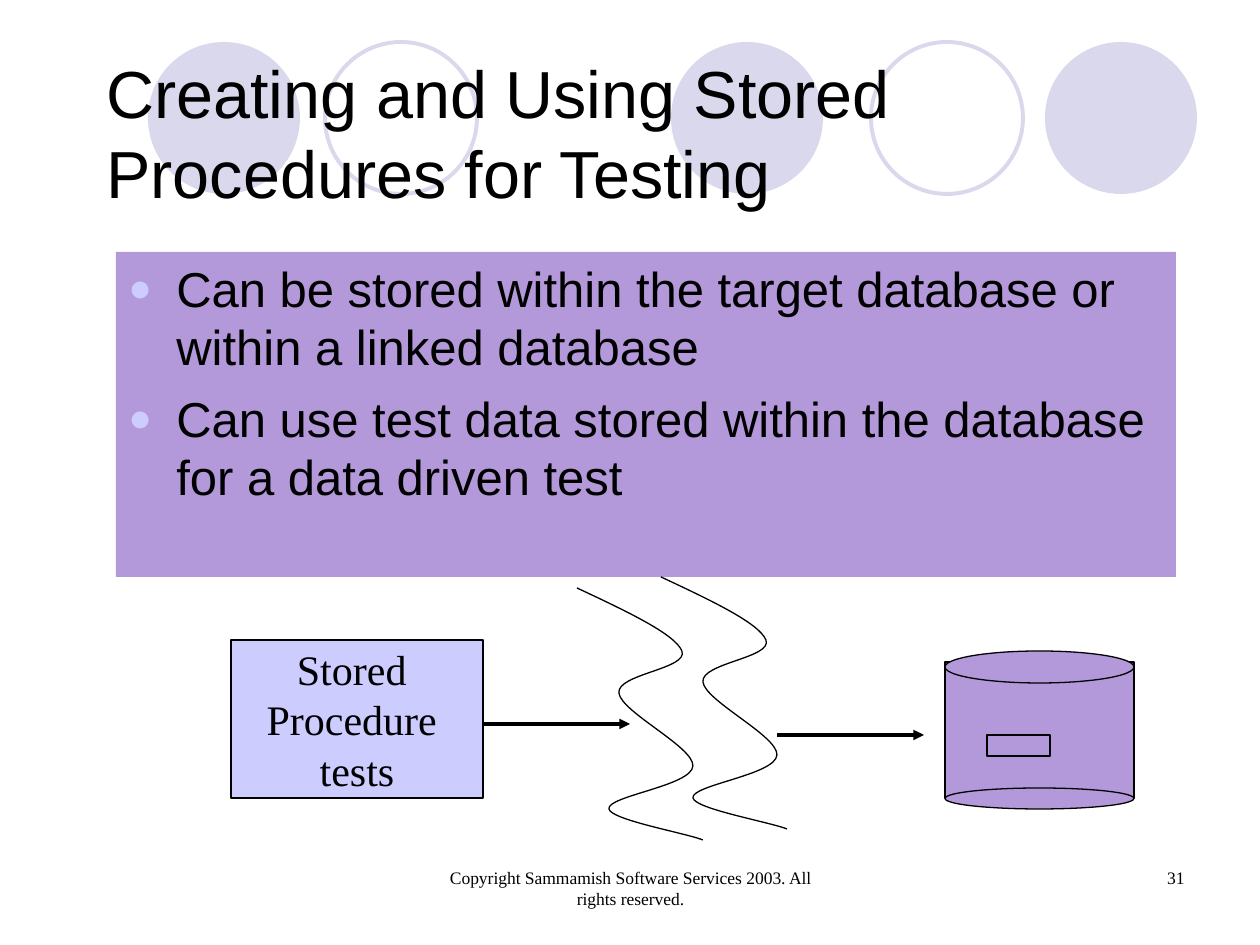
from dataclasses import dataclass
from typing import NamedTuple

from lxml import etree
from pptx import Presentation
from pptx.dml.color import RGBColor
from pptx.enum.shapes import MSO_CONNECTOR, MSO_SHAPE
from pptx.enum.text import MSO_ANCHOR, PP_ALIGN
from pptx.oxml.ns import qn
from pptx.util import Emu, Inches, Pt

PX_PER_INCH = 126
OVAL, RECTANGLE = MSO_SHAPE.OVAL, MSO_SHAPE.RECTANGLE
STRAIGHT = MSO_CONNECTOR.STRAIGHT
LEFT, CENTER, RIGHT = PP_ALIGN.LEFT, PP_ALIGN.CENTER, PP_ALIGN.RIGHT
TOP, MIDDLE = MSO_ANCHOR.TOP, MSO_ANCHOR.MIDDLE


@dataclass(frozen=True)
class Theme:
    ink: str = "000000"
    circle: str = "D9D8EC"
    purple: str = "B399D9"
    lavender: str = "CCCCFF"
    sans: str = "Arial"
    serif: str = "Times New Roman"
    title_size: int = 38
    body_size: int = 28
    label_size: int = 24
    footer_size: int = 10
    thin: float = 0.75
    arrow: float = 2
    ring: float = 2.25


THEME = Theme()


class Area(NamedTuple):
    left: int
    top: int
    width: int
    height: int


class Figure(NamedTuple):
    kind: int
    area: Area
    fill: str | None = None
    line: str | None = THEME.ink
    weight: float = THEME.thin


class Arrow(NamedTuple):
    start: int
    end: int
    level: int


CIRCLE_SIZE, CIRCLE_TOP = 152, 42
DISC_LEFTS = (148, 671, 1045)
RING_LEFTS = (325, 871)
CIRCLES = [
    Figure(OVAL, Area(left, CIRCLE_TOP, CIRCLE_SIZE, CIRCLE_SIZE), THEME.circle, None)
    for left in DISC_LEFTS
] + [
    Figure(OVAL, Area(left, CIRCLE_TOP, CIRCLE_SIZE, CIRCLE_SIZE), None, THEME.circle, THEME.ring)
    for left in RING_LEFTS
]
BODY = Figure(RECTANGLE, Area(116, 252, 1060, 325), THEME.purple, None)
TESTS = Figure(RECTANGLE, Area(231, 640, 252, 158), THEME.lavender)
DATABASE = [
    Figure(RECTANGLE, Area(945, 662, 189, 136), THEME.purple),
    Figure(OVAL, Area(945, 788, 189, 21), THEME.purple),
    Figure(OVAL, Area(945, 651, 189, 32), THEME.purple),
    Figure(RECTANGLE, Area(987, 735, 63, 21), THEME.purple),
]
ARROWS = [Arrow(483, 630, 724), Arrow(777, 924, 735)]
WAVE_STARTS = [(577, 588), (661, 577)]
WAVE_POINTS = [
    (49, 23), (98, 46), (105, 63),
    (112, 81), (40, 86), (42, 105),
    (44, 124), (117, 159), (116, 178),
    (115, 198), (30, 208), (32, 221),
    (34, 232), (108, 245), (126, 252),
]


def px(length: int) -> Emu:
    return Inches(length / PX_PER_INCH)


def color(value: str) -> RGBColor:
    return RGBColor.from_string(value)


def add_figure(page, figure: Figure):
    shape = page.shapes.add_shape(figure.kind, *map(px, figure.area))
    shape.shadow.inherit = False
    if figure.fill:
        shape.fill.solid()
        shape.fill.fore_color.rgb = color(figure.fill)
    else:
        shape.fill.background()
    if figure.line:
        shape.line.color.rgb = color(figure.line)
        shape.line.width = Pt(figure.weight)
    else:
        shape.line.fill.background()
    return shape


def add_bullet(para) -> None:
    properties = para._p.get_or_add_pPr()
    properties.set("marL", str(px(48)))
    properties.set("indent", str(-px(48)))
    bullet_color = etree.SubElement(properties, qn("a:buClr"))
    etree.SubElement(bullet_color, qn("a:srgbClr"), val=THEME.lavender)
    etree.SubElement(properties, qn("a:buSzPct"), val="80000")
    etree.SubElement(properties, qn("a:buFont"), typeface=THEME.sans)
    etree.SubElement(properties, qn("a:buChar"), char="●")


def write_text(box, *lines: str, font: str, size: int, align=LEFT, anchor=TOP,
               wrap: bool = True, bullets: bool = False, gap: int = 0) -> None:
    frame = box.text_frame
    frame.word_wrap = wrap
    frame.vertical_anchor = anchor
    for index, line in enumerate(lines):
        para = frame.add_paragraph() if index else frame.paragraphs[0]
        if bullets:
            add_bullet(para)
        para.alignment = align
        if index and gap:
            para.space_before = Pt(gap)
        span = para.add_run()
        span.text = line
        span.font.name = font
        span.font.size = Pt(size)
        span.font.color.rgb = color(THEME.ink)


def add_text(page, area: Area, text: str, **text_format) -> None:
    write_text(page.shapes.add_textbox(*map(px, area)), text, **text_format)


def add_arrow(page, arrow: Arrow) -> None:
    connector = page.shapes.add_connector(
        STRAIGHT, px(arrow.start), px(arrow.level), px(arrow.end), px(arrow.level))
    connector.line.color.rgb = color(THEME.ink)
    connector.line.width = Pt(THEME.arrow)
    etree.SubElement(connector.line._get_or_add_ln(), qn("a:tailEnd"), type="triangle")
    etree.SubElement(connector._element.spPr, qn("a:effectLst"))


def add_wave(page, start: tuple[int, int]) -> None:
    left, top = start
    builder = page.shapes.build_freeform(left, top, scale=px(1))
    builder.add_line_segments([(left + x, top + y) for x, y in WAVE_POINTS], close=False)
    wave = builder.convert_to_shape()
    outline = wave._element.find(".//" + qn("a:path"))
    segments = outline.findall(qn("a:lnTo"))
    for first in range(0, len(segments), 3):
        curve = etree.SubElement(outline, qn("a:cubicBezTo"))
        for segment in segments[first:first + 3]:
            curve.append(segment[0])
            outline.remove(segment)
    wave.shadow.inherit = False
    wave.fill.background()
    wave.line.color.rgb = color(THEME.ink)
    wave.line.width = Pt(THEME.thin)


def main() -> None:
    deck = Presentation()
    deck.slide_width, deck.slide_height = px(1260), px(945)
    page = deck.slides.add_slide(deck.slide_layouts[6])

    for circle in CIRCLES:
        add_figure(page, circle)
    add_text(page, Area(94, 33, 1160, 198), "Creating and Using Stored Procedures for Testing",
             font=THEME.sans, size=THEME.title_size, anchor=MIDDLE)
    write_text(add_figure(page, BODY),
               "Can be stored within the target database or within a linked database",
               "Can use test data stored within the database for a data driven test",
               font=THEME.sans, size=THEME.body_size, bullets=True, gap=7)
    write_text(add_figure(page, TESTS), "Stored ", "Procedure ", "tests", font=THEME.serif,
               size=THEME.label_size, align=CENTER, anchor=MIDDLE, wrap=False)

    for arrow in ARROWS:
        add_arrow(page, arrow)
    for part in DATABASE:
        add_figure(page, part)
    for start in WAVE_STARTS:
        add_wave(page, start)

    footer = {"font": THEME.serif, "size": THEME.footer_size}
    add_text(page, Area(431, 861, 399, 63),
             "Copyright Sammamish Software Services 2003. All rights reserved.",
             align=CENTER, **footer)
    add_text(page, Area(903, 861, 294, 63), "31", align=RIGHT, **footer)
    deck.save("out.pptx")


if __name__ == "__main__":
    main()
